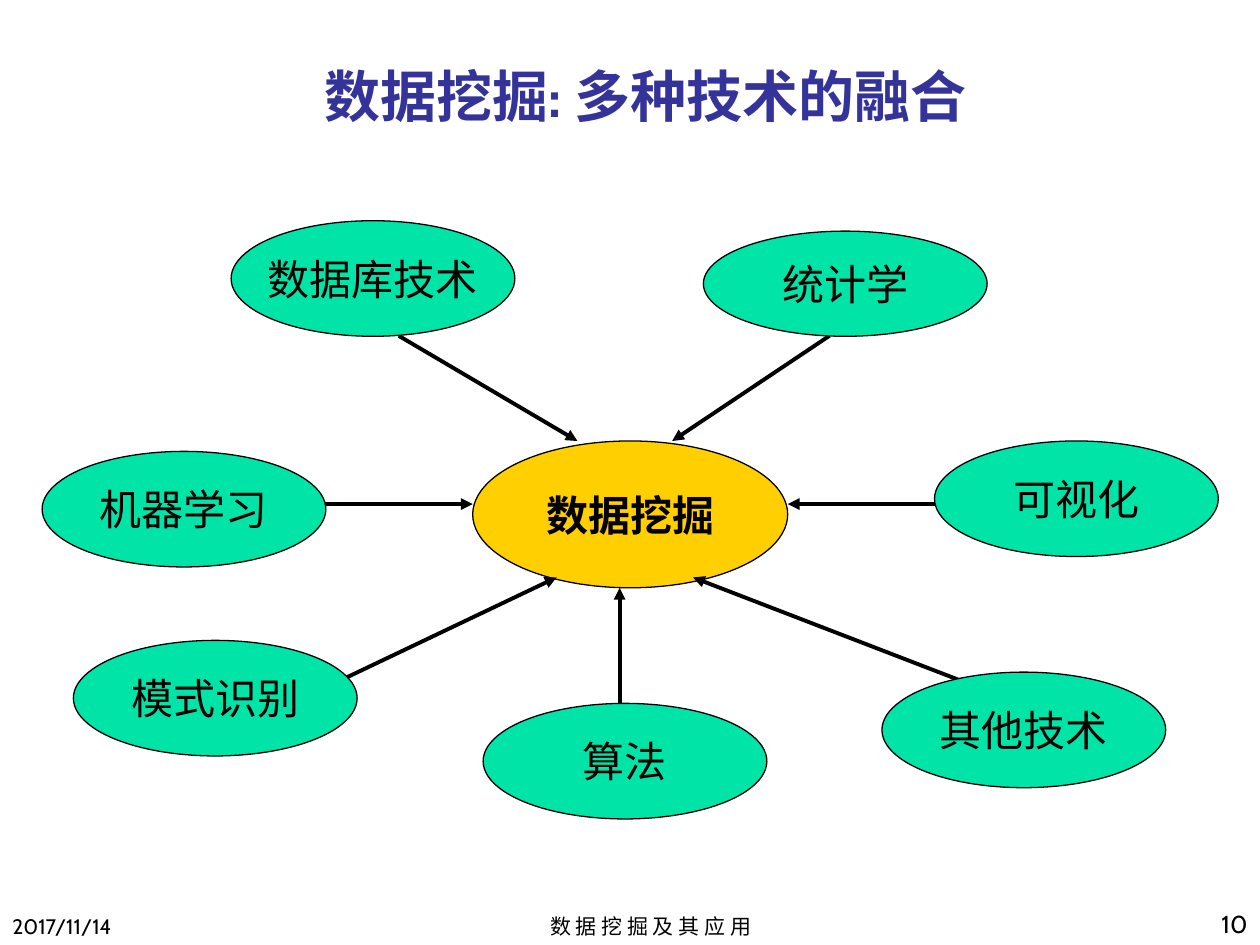
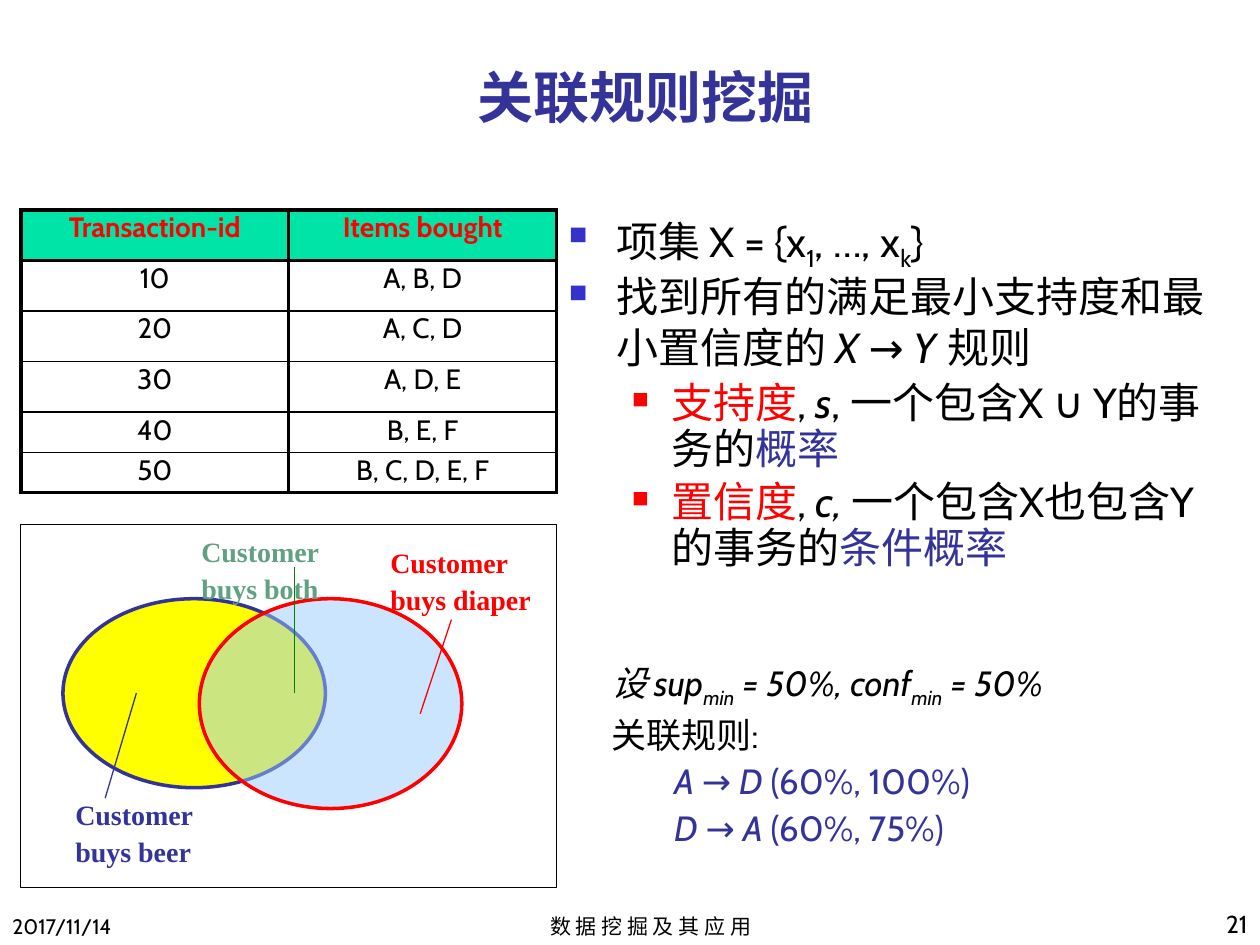
"""Builds two slides on data mining: its related techniques and association rules."""
from lxml import etree
from pptx import Presentation
from pptx.dml.color import RGBColor
from pptx.enum.shapes import MSO_CONNECTOR, MSO_SHAPE
from pptx.enum.text import MSO_ANCHOR, PP_ALIGN
from pptx.oxml.ns import qn
from pptx.util import Cm, Pt

STRAIGHT = MSO_CONNECTOR.STRAIGHT
ELLIPSE, RECTANGLE = MSO_SHAPE.OVAL, MSO_SHAPE.RECTANGLE
TOP, MIDDLE, BOTTOM = MSO_ANCHOR.TOP, MSO_ANCHOR.MIDDLE, MSO_ANCHOR.BOTTOM
LEFT, CENTER, RIGHT = PP_ALIGN.LEFT, PP_ALIGN.CENTER, PP_ALIGN.RIGHT

BLACK = RGBColor(0x00, 0x00, 0x00)
NAVY = RGBColor(0x33, 0x33, 0x99)
BULLET_BLUE = RGBColor(0x33, 0x33, 0xCC)
RED = RGBColor(0xFF, 0x00, 0x00)
MINT = RGBColor(0x00, 0xE4, 0xA8)
GOLD = RGBColor(0xFF, 0xCF, 0x01)
YELLOW = RGBColor(0xFF, 0xFF, 0x00)
PALE_BLUE = RGBColor(0x99, 0xCC, 0xFF)
GREEN = RGBColor(0x00, 0x80, 0x00)
SAGE = RGBColor(0x5F, 0xA1, 0x80)

FONT, LABEL_FONT = "Cabin", "Times New Roman"
ITALIC = {"italic": True}
SUBSCRIPT = {"subscript": True}
NAVY_TEXT = {"color": NAVY}
RED_TEXT = {"color": RED}


class Deck:
    """Holds the shared style and the current slide."""

    def __init__(self):
        self.presentation = Presentation()
        self.presentation.slide_width = Cm(25.4)
        self.presentation.slide_height = Cm(19.05)
        self.slide = None

    def add_slide(self, number, title, title_box, title_anchor):
        self.slide = self.presentation.slides.add_slide(self.presentation.slide_layouts[6])
        self.text((0, 17.78, 5.28, 1.27), ["2017/11/14"], anchor=BOTTOM, size=12)
        self.text((9.1, 17.99, 8.04, 1.06), ["数 据 挖 掘 及 其 应 用"],
                  anchor=BOTTOM, align=CENTER, size=12)
        self.text((20.11, 17.78, 5.29, 1.27), [number], anchor=BOTTOM, align=RIGHT, size=14)
        self.text(title_box, [title], anchor=title_anchor, align=CENTER,
                  size=32, color=NAVY, bold=True)

    def run(self, paragraph, text, size=24, color=BLACK, font=FONT,
            bold=False, italic=False, subscript=False):
        run = paragraph.add_run()
        run.text = text
        run.font.name = font
        run.font.size = Pt(size)
        run.font.color.rgb = color
        run.font.bold = bold
        run.font.italic = italic
        if subscript:
            run._r.get_or_add_rPr().set("baseline", "-25000")

    def runs(self, paragraph, content, **style):
        """Adds a plain string, or a list of strings and (text, changes) pairs."""
        for part in [content] if isinstance(content, str) else content:
            text, changes = (part, {}) if isinstance(part, str) else part
            self.run(paragraph, text, **{**style, **changes})

    def text(self, box, lines, anchor=TOP, align=LEFT, spacing=None, **style):
        frame = self.slide.shapes.add_textbox(*map(Cm, box)).text_frame
        frame.word_wrap = True
        frame.vertical_anchor = anchor
        for index, content in enumerate(lines):
            paragraph = frame.add_paragraph() if index else frame.paragraphs[0]
            paragraph.alignment = align
            paragraph.line_spacing = spacing
            self.runs(paragraph, content, **style)
        return frame

    def indent(self, paragraph, level, margin, first=0.0):
        paragraph.level = level
        properties = paragraph._p.get_or_add_pPr()
        properties.set("marL", str(Cm(margin)))
        properties.set("indent", str(Cm(first)))
        return properties

    def bullet(self, paragraph, level):
        margin, first, color, percent = [(0.95, -0.95, BULLET_BLUE, 60),
                                         (2.06, -0.79, RED, 55)][level]
        paragraph.space_before = Pt(4.8)
        properties = self.indent(paragraph, level, margin, first)
        bullet_color = etree.SubElement(properties, qn("a:buClr"))
        etree.SubElement(bullet_color, qn("a:srgbClr"), val=str(color))
        etree.SubElement(properties, qn("a:buSzPct"), val=str(percent * 1000))
        etree.SubElement(properties, qn("a:buChar"), char="■")

    def shape(self, kind, box, fill=None, line=BLACK, width=0.75, opacity=None,
              text="", bold=False):
        shape = self.slide.shapes.add_shape(kind, *map(Cm, box))
        shape.shadow.inherit = False
        shape.line.color.rgb = line
        shape.line.width = Pt(width)
        if fill is None:
            shape.fill.background()
        else:
            shape.fill.solid()
            shape.fill.fore_color.rgb = fill
        if opacity:
            color = shape.element.spPr.find(qn("a:solidFill"))[0]
            etree.SubElement(color, qn("a:alpha"), val=str(opacity * 1000))
        if text:
            shape.text_frame.word_wrap = False
            shape.text_frame.vertical_anchor = MIDDLE
            paragraph = shape.text_frame.paragraphs[0]
            paragraph.alignment = CENTER
            self.run(paragraph, text, bold=bold)

    def line(self, start, end, color=BLACK, width=0.75, arrow=False):
        connector = self.slide.shapes.add_connector(STRAIGHT, *map(Cm, start + end))
        connector.line.color.rgb = color
        connector.line.width = Pt(width)
        properties = connector.element.spPr
        if arrow:
            etree.SubElement(properties.get_or_add_ln(), qn("a:tailEnd"), type="triangle")
        etree.SubElement(properties, qn("a:effectLst"))

    def border(self, cell, side, width):
        border = etree.SubElement(cell._tc.get_or_add_tcPr(), qn(f"a:{side}"),
                                  w=str(Pt(width)))
        fill = etree.SubElement(border, qn("a:solidFill"))
        etree.SubElement(fill, qn("a:srgbClr"), val=str(BLACK))

    def table(self, left, top, column_width, heights, rows):
        width = column_width * len(rows[0])
        table = self.slide.shapes.add_table(
            len(rows), len(rows[0]), Cm(left), Cm(top), Cm(width), Cm(sum(heights))).table
        table.first_row = table.horz_banding = False
        for column in table.columns:
            column.width = Cm(column_width)
        last = len(rows) - 1
        for index, (height, values) in enumerate(zip(heights, rows)):
            table.rows[index].height = Cm(height)
            header = index == 0
            widths = {"lnL": 2.25, "lnR": 2.25,
                      "lnT": 2.25 if index <= 1 else 1,
                      "lnB": 2.25 if index in (0, last) else 1}
            for column, value in enumerate(values):
                cell = table.cell(index, column)
                for side, border_width in widths.items():
                    self.border(cell, side, border_width)
                if header:
                    cell.fill.solid()
                    cell.fill.fore_color.rgb = MINT
                else:
                    cell.fill.background()
                paragraph = cell.text_frame.paragraphs[0]
                paragraph.alignment = CENTER
                paragraph.line_spacing = 0.8
                paragraph.space_before = Pt(3.2)
                self.run(paragraph, value, size=16, color=RED if header else BLACK, bold=header)


def build_techniques(deck):
    deck.add_slide("10", "数据挖掘: 多种技术的融合", (1.06, 0.85, 23.92, 2.12), MIDDLE)
    deck.shape(ELLIPSE, (9.53, 8.89, 6.35, 2.96), GOLD, text="数据挖掘", bold=True)
    techniques = [
        ("数据库技术", 4.66, 4.45, 2.33, (8.04, 6.77), (11.64, 8.89)),
        ("统计学", 14.18, 4.66, 2.12, (16.72, 6.77), (13.55, 8.89)),
        ("机器学习", 0.85, 9.1, 2.33, (6.56, 10.16), (9.53, 10.16)),
        ("模式识别", 1.48, 12.91, 2.33, (6.77, 13.76), (11.22, 11.64)),
        ("算法", 9.74, 14.18, 2.33, (12.49, 14.18), (12.49, 11.85)),
        ("其他技术", 17.78, 13.55, 2.33, (19.47, 13.76), (13.97, 11.64)),
        ("可视化", 18.84, 8.89, 2.33, (18.84, 10.16), (15.88, 10.16)),
    ]
    for name, left, top, height, start, end in techniques:
        deck.line(start, end, width=2.25, arrow=True)
        deck.shape(ELLIPSE, (left, top, 5.72, height), MINT, text=name)


def build_association_rules(deck):
    deck.add_slide("21", "关联规则挖掘", (1.91, 0.85, 22.22, 1.9), BOTTOM)

    definitions = [
        (0, ["项集 X = {x", ("1", SUBSCRIPT), ", …, x", ("k", SUBSCRIPT), "}"]),
        (0, ["找到所有的满足最小支持度和最小置信度的 ", ("X ", ITALIC), "→ ", ("Y", ITALIC),
             (" ", {"size": 28, "italic": True}), "规则"]),
        (1, [("支持度", RED_TEXT), ", ", ("s", ITALIC), ", 一个包含X ∪ Y的事务的",
             ("概率", NAVY_TEXT)]),
        (1, [("置信度", RED_TEXT), ", ", ("c, ", ITALIC), "一个包含X也包含Y的事务的",
             ("条件概率", NAVY_TEXT)]),
    ]
    frame = deck.text((11.22, 4.23, 13.76, 8.89), [content for _, content in definitions],
                      spacing=0.9)
    for paragraph, (level, _) in zip(frame.paragraphs, definitions):
        deck.bullet(paragraph, level)

    minimum = ("min", {"italic": True, "subscript": True})
    rules = [("A ", " D ", "(60%, 100%)"), ("D ", " A ", "(60%, 75%)")]
    navy_italic = {**NAVY_TEXT, **ITALIC}
    frame = deck.text(
        (12.07, 13.12, 12.7, 4.66),
        [[("设 sup", ITALIC), minimum, (" = 50%, conf", ITALIC), minimum, (" = 50%", ITALIC)],
         "关联规则:"]
        + [[(cause, navy_italic), ("→", NAVY_TEXT), (effect, navy_italic), (measure, NAVY_TEXT)]
           for cause, effect, measure in rules],
        spacing=1.1, size=20)
    for paragraph in frame.paragraphs[2:]:
        deck.indent(paragraph, 1, 1.27)

    deck.shape(ELLIPSE, (1.27, 12.07, 5.29, 3.81), YELLOW, NAVY, 2)
    deck.shape(ELLIPSE, (4.02, 12.07, 5.29, 4.23), PALE_BLUE, RED, 2, opacity=50)
    customers = [
        ("buys beer", NAVY, NAVY, (1.27, 15.88), (2.75, 13.97), (2.12, 16.09)),
        ("buys diaper", RED, RED, (7.62, 10.8), (8.47, 14.39), (9.1, 12.49)),
        ("buys both", SAGE, GREEN, (3.81, 10.58), (5.93, 13.97), (5.93, 11.43)),
    ]
    for purchase, color, line_color, corner, start, end in customers:
        deck.line(start, end, line_color)
        deck.text(corner + (3.4, 1.75), ["Customer", purchase], spacing=1.1,
                  size=16, color=color, font=LABEL_FONT, bold=True)
    deck.shape(RECTANGLE, (0.42, 10.58, 10.8, 7.32))

    deck.table(0.42, 4.23, 5.4, [1.02] * 4 + [0.81] * 2, [
        ("Transaction-id", "Items bought"),
        ("10", "A, B, D"),
        ("20", "A, C, D"),
        ("30", "A, D, E"),
        ("40", "B, E, F"),
        ("50", "B, C, D, E, F"),
    ])


def main():
    deck = Deck()
    build_techniques(deck)
    build_association_rules(deck)
    deck.presentation.save("out.pptx")


if __name__ == "__main__":
    main()
